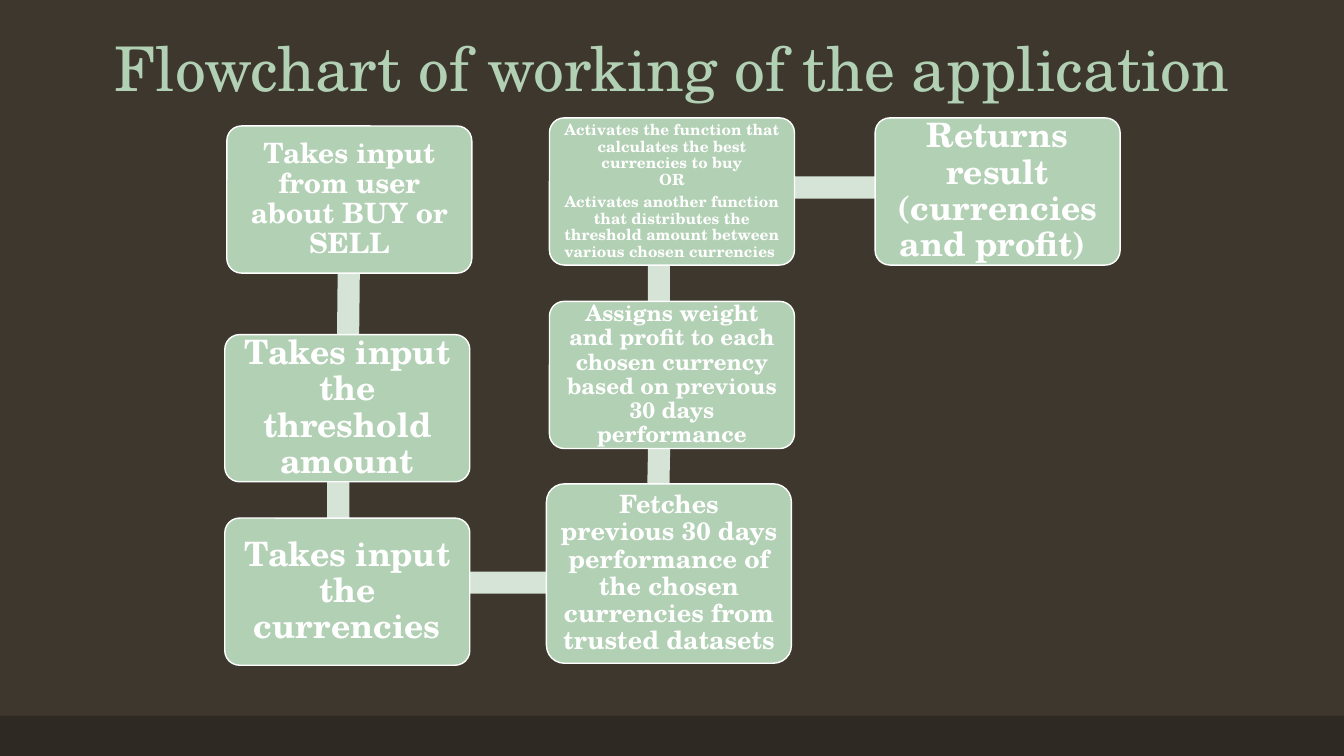
from pptx import Presentation
from pptx.dml.color import RGBColor
from pptx.enum.shapes import MSO_SHAPE as Shape
from pptx.enum.text import MSO_ANCHOR as Anchor, MSO_AUTO_SIZE as AutoSize, PP_ALIGN as Align
from pptx.util import Inches, Pt

FONT = "TeX Gyre Schola"
SAGE, PALE_SAGE, WHITE = "B2D0B4", "D5E4D6", "FFFFFF"
BOX_WIDTH, BOX_HEIGHT, BAR_THICKNESS = 2.43, 1.46, 0.22


def add_block(kind, left, top, width, height, fill):
    block = slide.shapes.add_shape(kind, *map(Inches, (left, top, width, height)))
    block.shadow.inherit = False
    block.fill.solid()
    block.fill.fore_color.rgb = RGBColor.from_string(fill)
    block.line.fill.background()
    return block


def write(frame, paragraphs, size, color, bold, **frame_format):
    """Fill a text frame with centred paragraphs; a newline is a line break."""
    frame_format = {"word_wrap": True, "auto_size": AutoSize.NONE, **frame_format}
    for name, value in frame_format.items():
        setattr(frame, name, value)
    for number, text in enumerate(paragraphs):
        paragraph = frame.add_paragraph() if number else frame.paragraphs[0]
        paragraph.text = text
        paragraph_format = {"alignment": Align.CENTER, "line_spacing": 0.9,
                            "space_before": Pt(0), "space_after": Pt(round(size * 0.35))}
        for name, value in paragraph_format.items():
            setattr(paragraph, name, value)
        for run in paragraph.runs:
            for name, value in {"name": FONT, "size": Pt(size), "bold": bold}.items():
                setattr(run.font, name, value)
            run.font.color.rgb = RGBColor.from_string(color)


prs = Presentation()
prs.slide_width, prs.slide_height = Inches(13.33), Inches(7.5)
slide = prs.slides.add_slide(prs.slide_layouts[5])
slide.background.fill.solid()
slide.background.fill.fore_color.rgb = RGBColor.from_string("3D372E")
add_block(Shape.RECTANGLE, 0, 7.1, 13.33, 0.4, "2E2923")

title = slide.shapes.title
title_place = {"left": 0.92, "top": 0.17, "width": 11.5, "height": 0.92}
for side, inches in title_place.items():
    setattr(title, side, Inches(inches))
write(title.text_frame, ["Flowchart of working of the application"], 44, SAGE, False,
      vertical_anchor=Anchor.BOTTOM)

# Linking bars: left, top, length, rotation
links = [
    (2.43, 2.51, 2.06, 90.6),
    (2.45, 4.55, 1.81, 90),
    (2.67, 5.67, 3.19, 0),
    (5.56, 4.21, 1.96, 271.1),
    (5.63, 2.3, 1.81, 270),
    (6, 1.75, 3.22, 0),
]
for left, top, length, rotation in links:
    link = add_block(Shape.RECTANGLE, left, top, length, BAR_THICKNESS, PALE_SAGE)
    link.rotation = rotation

# Steps in order: left, top, height, text size, inset, paragraphs
steps = [
    (2.25, 1.25, BOX_HEIGHT, 20, 0.08, ["Takes input from user about BUY or SELL"]),
    (2.23, 3.32, BOX_HEIGHT, 24, 0.1, ["Takes input the threshold amount"]),
    (2.23, 5.14, BOX_HEIGHT, 24, 0.1, ["Takes input the currencies"]),
    (5.42, 4.8, 1.78, 18, 0.07,
     ["Fetches previous 30 days performance of the chosen currencies from trusted datasets"]),
    (5.45, 2.99, BOX_HEIGHT, 16, 0.07,
     ["Assigns weight and profit to each chosen currency based on previous 30 days performance"]),
    (5.45, 1.17, BOX_HEIGHT, 11, 0.05,
     ["Activates the function that calculates the best currencies to buy\nOR",
      "Activates another function that distributes the threshold amount between "
      "various chosen currencies "]),
    (8.68, 1.17, BOX_HEIGHT, 24, 0.1, ["Returns result (currencies and profit) "]),
]
for left, top, height, size, inset, paragraphs in steps:
    step = add_block(Shape.ROUNDED_RECTANGLE, left, top, BOX_WIDTH, height, SAGE)
    step.adjustments[0] = 0.1
    step.line.color.rgb = RGBColor.from_string(WHITE)
    step.line.width = Pt(1)
    margins = {f"margin_{side}": Inches(inset) for side in ("left", "top", "right", "bottom")}
    write(step.text_frame, paragraphs, size, WHITE, True,
          vertical_anchor=Anchor.MIDDLE, **margins)

prs.save("out.pptx")
